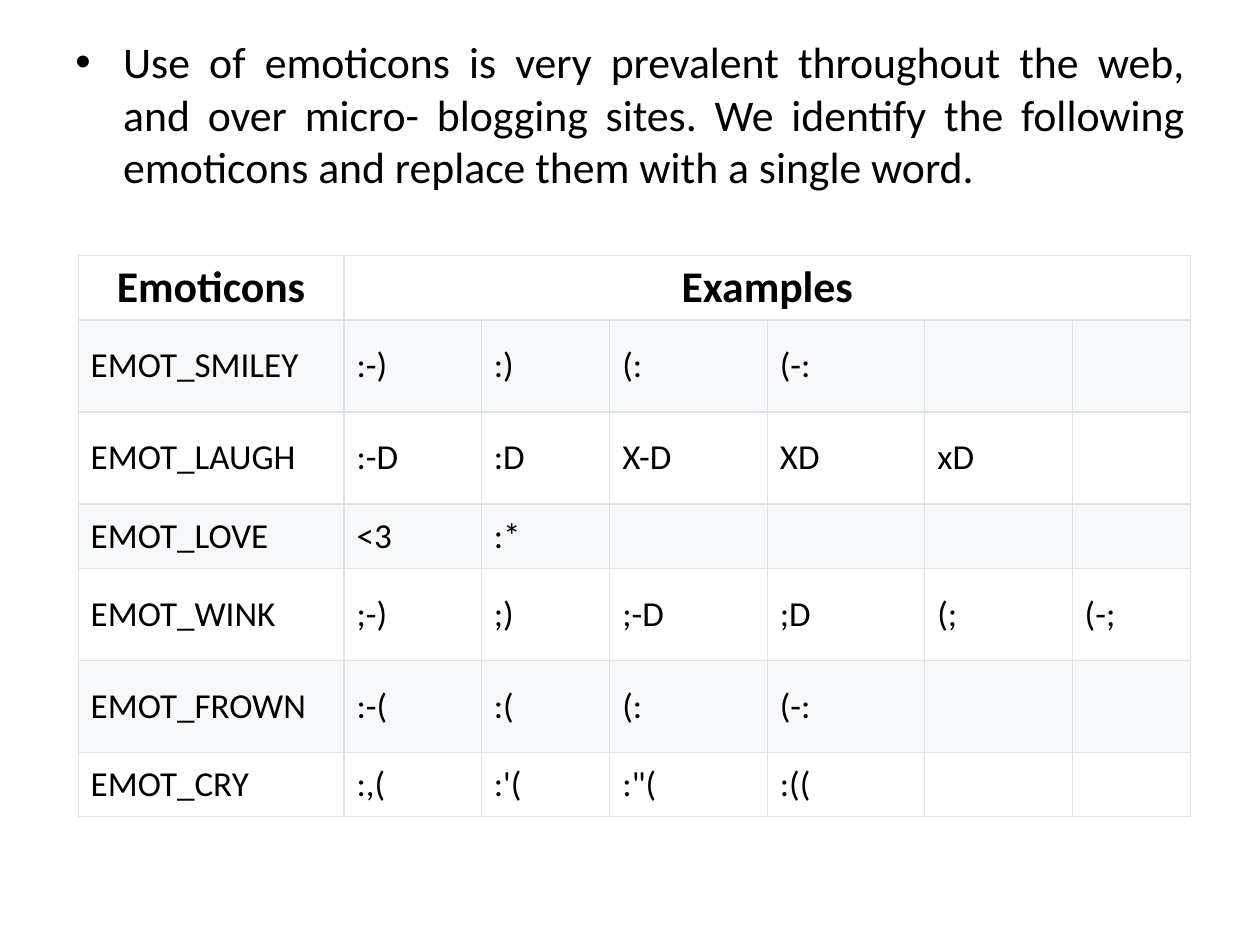
from lxml import etree
from pptx import Presentation
from pptx.dml.color import RGBColor
from pptx.enum.text import MSO_ANCHOR, PP_ALIGN
from pptx.oxml.ns import qn
from pptx.util import Inches, Pt

MIDDLE = MSO_ANCHOR.MIDDLE
LEFT, CENTER, JUSTIFY = PP_ALIGN.LEFT, PP_ALIGN.CENTER, PP_ALIGN.JUSTIFY
SIDES = ("a:lnL", "a:lnR", "a:lnT", "a:lnB")
INTRO = (
    "Use of emoticons is very prevalent throughout the web, and over "
    "micro- blogging sites. We identify the following emoticons and "
    "replace them with a single word. "
)
COLS = (2.11, 1.09, 1.02, 1.25, 1.25, 1.17, 0.94)
TALL, SHORT = 0.73, 0.51
ROWS = (
    (SHORT, ("Emoticons", "Examples")),
    (TALL, ("EMOT_SMILEY", ":-)", ":)", "(:", "(-:")),
    (TALL, ("EMOT_LAUGH", ":-D", ":D", "X-D", "XD", "xD")),
    (SHORT, ("EMOT_LOVE", "<3", ":*")),
    (TALL, ("EMOT_WINK", ";-)", ";)", ";-D", ";D", "(;", "(-;")),
    (TALL, ("EMOT_FROWN", ":-(", ":(", "(:", "(-:")),
    (SHORT, ("EMOT_CRY", ":,(", ":'(", ':"(', ":((")),
)


def color(code):
    return RGBColor.from_string(code)


class Deck:
    """Hold the style and the current slide."""

    font, ink, edge = "Calibri", "000000", "DFE2E5"
    bands = ("FFFFFF", "F6F8FA")
    big, small = 25, 20

    def __init__(self):
        self.prs = Presentation()
        self.prs.slide_width, self.prs.slide_height = Inches(10), Inches(7.5)
        self.slide = self.prs.slides.add_slide(self.prs.slide_layouts[6])

    def label(self, frame, text, size, align, bold=False):
        frame.text = text
        para = frame.paragraphs[0]
        para.alignment = align
        for run in para.runs:
            font = run.font
            font.name, font.size, font.bold = self.font, Pt(size), bold
            font.color.rgb = color(self.ink)
        return para

    def bullet(self, text, left, top, width, height):
        box = self.slide.shapes.add_textbox(
            Inches(left), Inches(top), Inches(width), Inches(height)
        )
        frame = box.text_frame
        frame.word_wrap = True
        para = self.label(frame, text, self.big, JUSTIFY)
        props = para._p.get_or_add_pPr()
        props.set("marL", str(Inches(0.38)))
        props.set("indent", str(-Inches(0.38)))
        etree.SubElement(props, qn("a:buFont"), typeface="Arial")
        etree.SubElement(props, qn("a:buChar"), char="•")

    def border(self, cell):
        props = cell._tc.get_or_add_tcPr()
        for side in SIDES:
            line = etree.SubElement(props, qn(side), w=str(Pt(0.75)))
            fill = etree.SubElement(line, qn("a:solidFill"))
            etree.SubElement(fill, qn("a:srgbClr"), val=self.edge)

    def cell(self, cell, text, row):
        head = row == 0
        cell.margin_left = cell.margin_right = Inches(0.1)
        cell.margin_top = cell.margin_bottom = Inches(0.04)
        cell.vertical_anchor = MIDDLE
        self.border(cell)
        cell.fill.solid()
        cell.fill.fore_color.rgb = color(self.bands[row % 2])
        if text:
            size, align = (self.big, CENTER) if head else (self.small, LEFT)
            self.label(cell.text_frame, text, size, align, head)

    def table(self, rows, cols, left, top):
        high = sum(height for height, _ in rows)
        table = self.slide.shapes.add_table(
            len(rows), len(cols), Inches(left), Inches(top),
            Inches(sum(cols)), Inches(high),
        ).table
        table.first_row = table.horz_banding = False
        for col, width in zip(table.columns, cols):
            col.width = Inches(width)
        for r, (height, words) in enumerate(rows):
            table.rows[r].height = Inches(height)
            for c in range(len(cols)):
                text = words[c] if c < len(words) else ""
                self.cell(table.cell(r, c), text, r)
        table.cell(0, 1).merge(table.cell(0, len(cols) - 1))


def main():
    deck = Deck()
    deck.bullet(INTRO, 0.5, 0.23, 9, 6.47)
    deck.table(ROWS, COLS, 0.62, 2.03)
    deck.prs.save("out.pptx")


if __name__ == "__main__":
    main()
